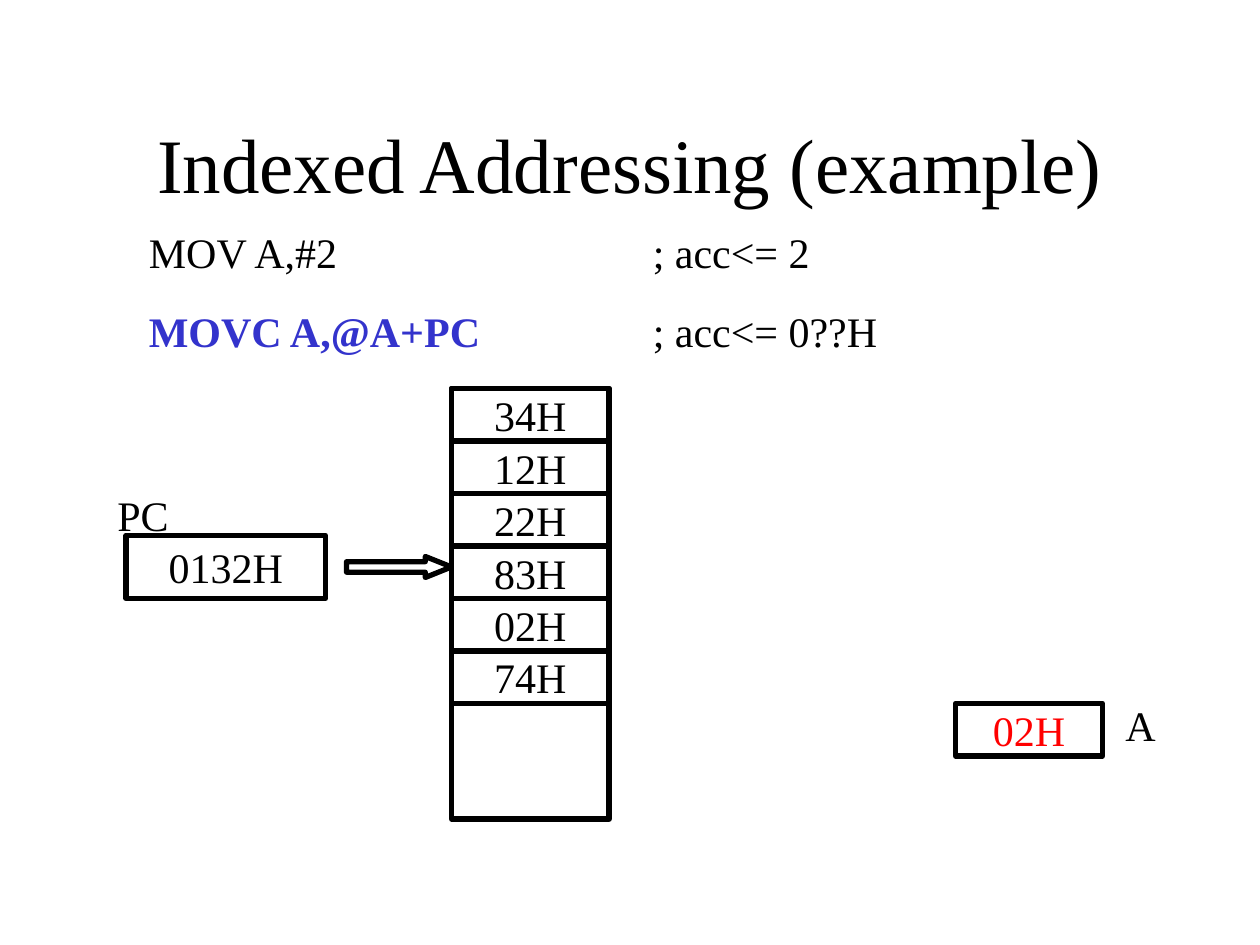
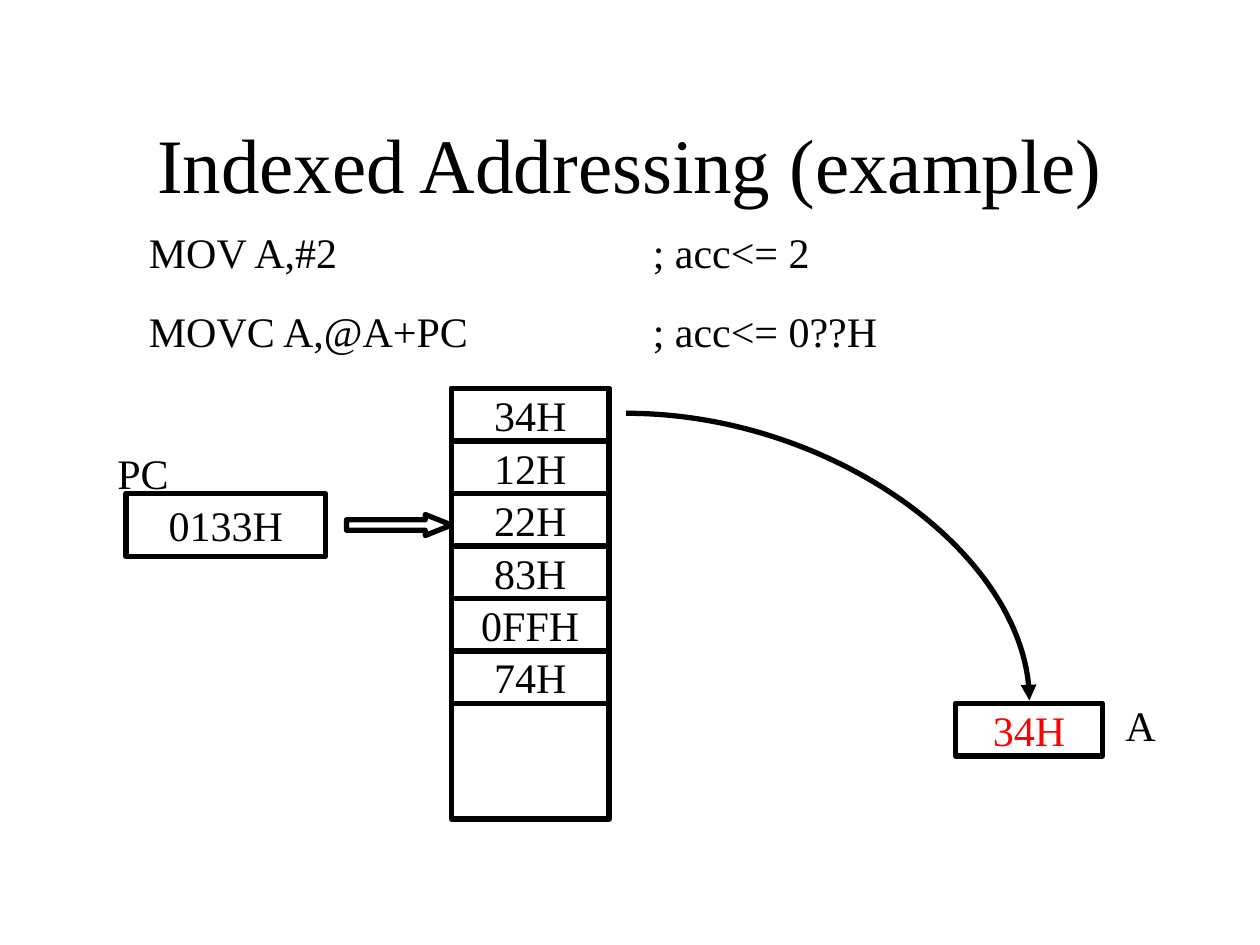
from lxml.etree import SubElement
from pptx import Presentation
from pptx.dml.color import RGBColor
from pptx.enum.shapes import MSO_CONNECTOR, MSO_SHAPE
from pptx.enum.text import MSO_ANCHOR, PP_ALIGN
from pptx.oxml.ns import qn
from pptx.util import Inches, Pt

BLACK = RGBColor(0x00, 0x00, 0x00)
WHITE = RGBColor(0xFF, 0xFF, 0xFF)
BLUE = RGBColor(0x33, 0x33, 0xCC)
RED = RGBColor(0xFF, 0x00, 0x00)
FONT = "Times New Roman"
LINE = Pt(3)

# The slide is a grid of 120 columns by 90 rows.
GRID = Inches(10) // 120
MEMORY_LEFT, MEMORY_TOP, MEMORY_WIDTH, MEMORY_HEIGHT = 43, 37, 15, 41
CELL_HEIGHT = 5
COMMENT_TAB = Inches(4)

CODE = [("MOV A,#2", "; acc<= 2"), ("MOVC A,@A+PC", "; acc<= 0??H")]
STEPS = [
    {"pc": "0132H", "pointer_row": 54, "accumulator": "02H", "loaded": False,
     "memory": ["34H", "12H", "22H", "83H", "02H", "74H"]},
    {"pc": "0133H", "pointer_row": 50, "accumulator": "34H", "loaded": True,
     "memory": ["34H", "12H", "22H", "83H", "0FFH", "74H"]},
]


def add_outlined(page, kind, left, top, width, height, text="", color=BLACK):
    """Add a white shape with a black outline, placed in grid units."""
    shape = page.shapes.add_shape(kind, left * GRID, top * GRID,
                                  width * GRID, height * GRID)
    shape.shadow.inherit = False
    shape.fill.solid()
    shape.fill.fore_color.rgb = WHITE
    shape.line.color.rgb = BLACK
    shape.line.width = LINE
    if text:
        write(shape.text_frame, text, 24, color, PP_ALIGN.CENTER)
        shape.text_frame.vertical_anchor = MSO_ANCHOR.MIDDLE
    return shape


def write(frame, text, size, color=BLACK, align=PP_ALIGN.LEFT):
    frame.word_wrap = False
    paragraph = frame.paragraphs[0]
    paragraph.text = text
    paragraph.alignment = align
    paragraph.font.name = FONT
    paragraph.font.size = Pt(size)
    paragraph.font.color.rgb = color


deck = Presentation()
deck.slide_width, deck.slide_height = 120 * GRID, 90 * GRID

for step in STEPS:
    page = deck.slides.add_slide(deck.slide_layouts[6])

    title = page.shapes.add_textbox(9 * GRID, 8 * GRID, 102 * GRID, 15 * GRID)
    write(title.text_frame, "Indexed Addressing (example)", 44, align=PP_ALIGN.CENTER)
    title.text_frame.word_wrap = True
    title.text_frame.vertical_anchor = MSO_ANCHOR.MIDDLE

    listing = page.shapes.add_textbox(13 * GRID, 21 * GRID, 78 * GRID, 13 * GRID).text_frame
    listing.word_wrap = True
    for number, (instruction, comment) in enumerate(CODE):
        para = listing.add_paragraph() if number else listing.paragraphs[0]
        tabs = SubElement(para._p.get_or_add_pPr(), qn("a:tabLst"))
        SubElement(tabs, qn("a:tab"), pos=str(COMMENT_TAB), algn="l")
        if number:
            para.space_before = Pt(16.5)
        para.font.name = FONT
        para.font.size = Pt(24)
        para.font.color.rgb = BLACK
        span = para.add_run()
        span.text = instruction + "\t"
        if number and not step["loaded"]:
            span.font.bold = True
            span.font.color.rgb = BLUE
        para.add_run().text = comment

    add_outlined(page, MSO_SHAPE.RECTANGLE, MEMORY_LEFT, MEMORY_TOP,
                 MEMORY_WIDTH, MEMORY_HEIGHT)

    pointer_row = step["pointer_row"]
    add_outlined(page, MSO_SHAPE.RECTANGLE, 12, pointer_row - 3, 19, 6, step["pc"])
    pointer = add_outlined(page, MSO_SHAPE.RIGHT_ARROW, 33, pointer_row - 1, 10, 2)
    pointer.adjustments[0] = 0.5
    pointer.adjustments[1] = 1.25

    for row, value in enumerate(step["memory"]):
        add_outlined(page, MSO_SHAPE.RECTANGLE, MEMORY_LEFT,
                     MEMORY_TOP + row * CELL_HEIGHT, MEMORY_WIDTH, CELL_HEIGHT, value)

    add_outlined(page, MSO_SHAPE.RECTANGLE, 91, 67, 14, CELL_HEIGHT,
                 step["accumulator"], RED)

    for name, left, top, width in [("PC", 10, pointer_row - 8, 7.4), ("A", 106, 66, 5.3)]:
        label = page.shapes.add_textbox(left * GRID, top * GRID, int(width * GRID), 6 * GRID)
        write(label.text_frame, name, 24)

    if step["loaded"]:
        load = page.shapes.add_connector(MSO_CONNECTOR.CURVE, Inches(4.97), Inches(3.28),
                                         Inches(8.17), Inches(5.56))
        load.line.color.rgb = BLACK
        load.line.width = LINE
        properties = load._element.spPr
        properties.find(qn("a:prstGeom")).set("prst", "curvedConnector2")
        SubElement(load.line._get_or_add_ln(), qn("a:tailEnd"), type="triangle")
        SubElement(properties, qn("a:effectLst"))

deck.save("out.pptx")
